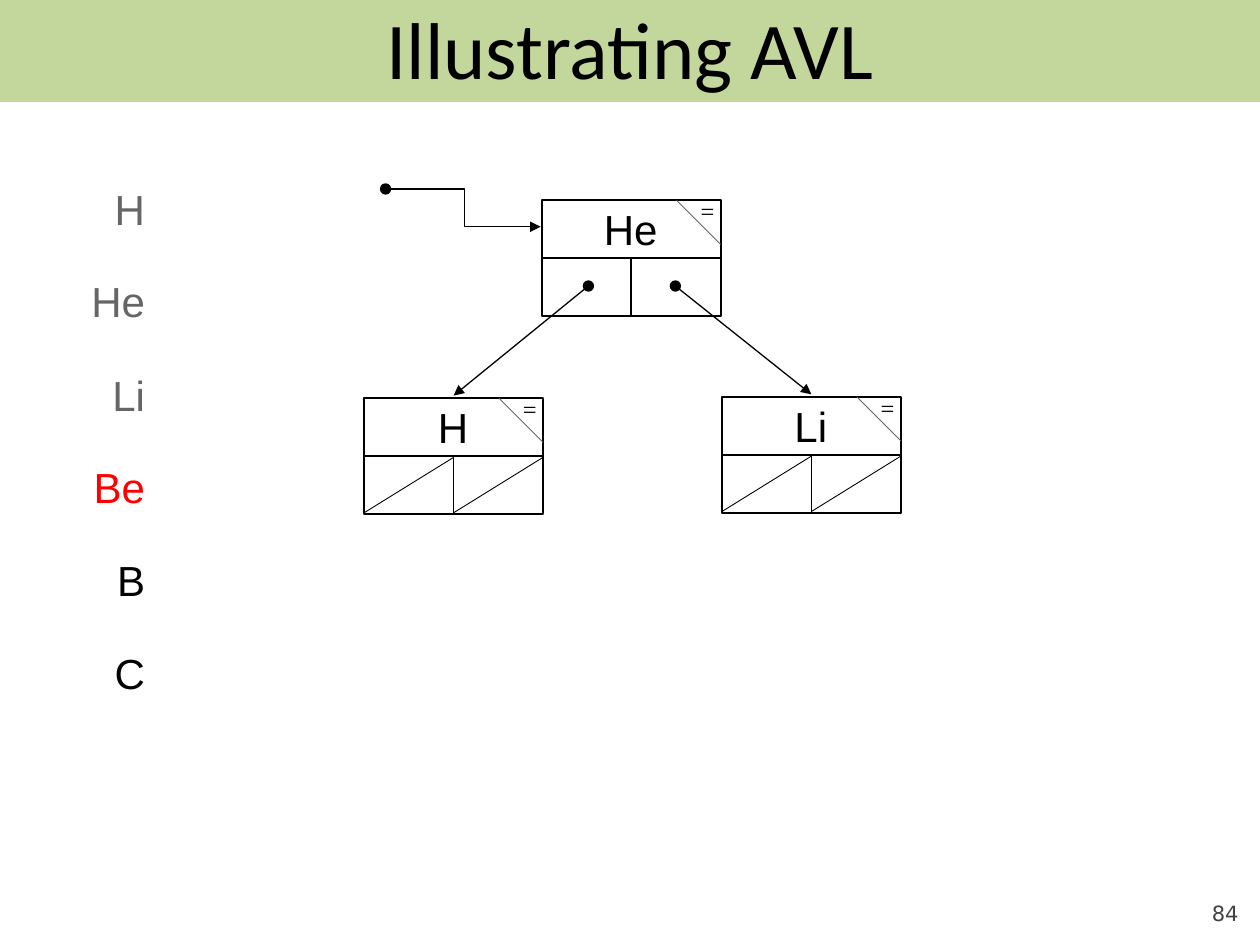
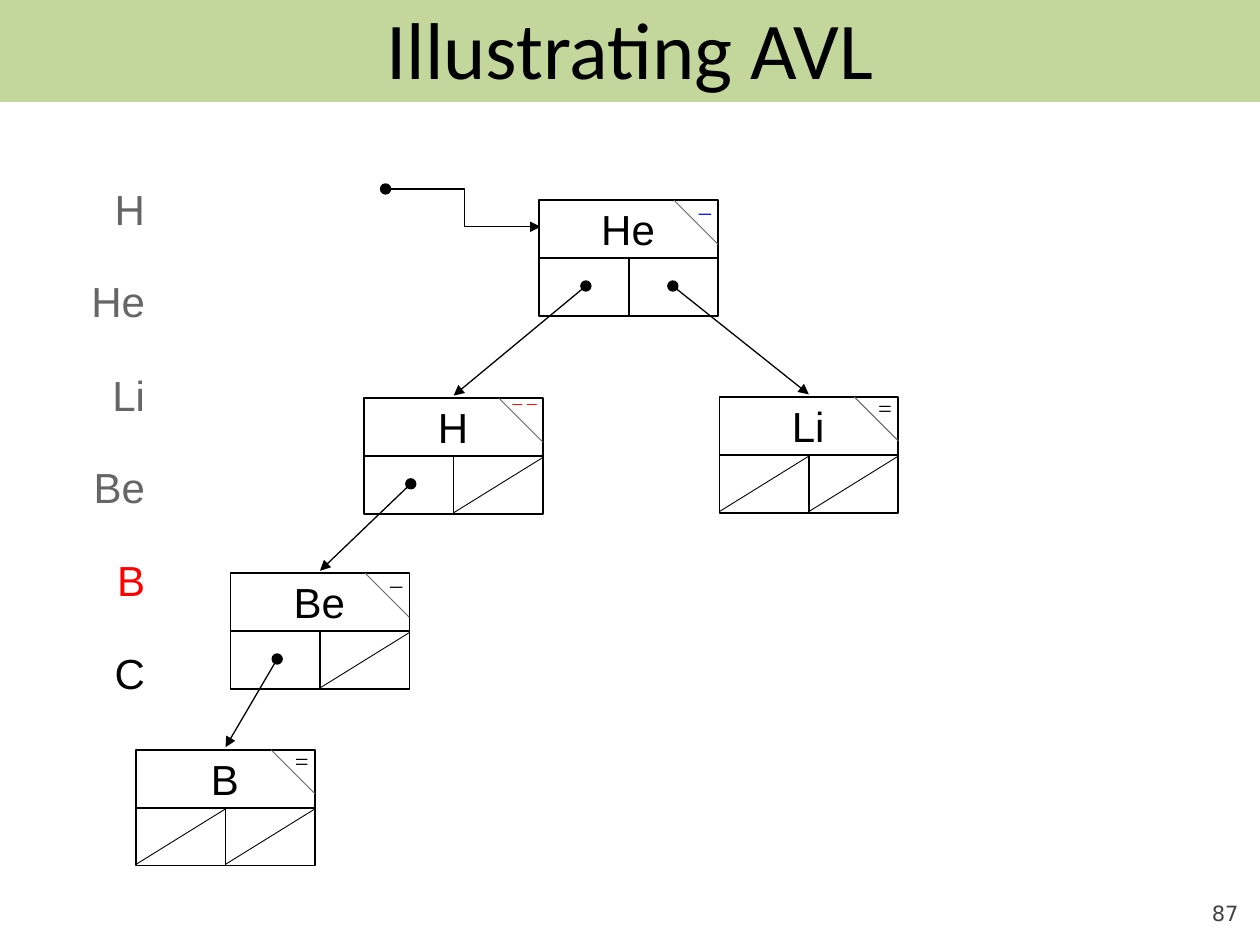
from lxml import etree
from pptx import Presentation
from pptx import util as u
from pptx.dml.color import RGBColor
from pptx.enum import shapes, text
from pptx.oxml.ns import qn

PX = 9144  # one px is a hundredth of an inch
BLACK, WHITE, GREY, RED, BLUE = "000000", "FFFFFF", "666666", "FF0000", "0000FF"
BAND, FOOT = "C3D69B", "424242"
LEFT, MID, RIGHT = text.PP_ALIGN.LEFT, text.PP_ALIGN.CENTER, text.PP_ALIGN.RIGHT

TITLE = {"name": "Calibri", "size": u.Pt(46)}
LABEL = {"name": "Arial", "size": u.Pt(24)}
MARK = {"name": "Times New Roman", "size": u.Pt(14)}
TWIN = {"name": "Times New Roman", "size": u.Pt(11)}
PAGE = {"name": "DejaVu Sans", "size": u.Pt(12)}

WORDS = ["H", "He", "Li", "Be", "B", "C"]
WIDE, HIGH, ROW, HALF, CUT = 142, 92, 46, 71, 35  # sizes of a tree node
DOTS, DEEP = (37, 106), 68  # pointer dots inside a node

# Each node: left, top, balance mark, mark colour, left child, right child
TREES = [
    ("84", "Be", {
        "H": (289, 316, "=", BLACK, None, None),
        "He": (430, 159, "=", BLACK, "H", "Li"),
        "Li": (573, 315, "=", BLACK, None, None),
    }),
    ("87", "B", {
        "H": (289, 316, "– –", RED, "Be", None),
        "He": (428, 159, "–", BLUE, "H", "Li"),
        "Li": (571, 315, "=", BLACK, None, None),
        "Be": (183, 455, "–", BLACK, "B", None),
        "B": (108, 595, "=", BLACK, None, None),
    }),
]


def px(*vals):
    return [u.Emu(v * PX) for v in vals]


def rgb(hue):
    return RGBColor.from_string(hue)


def apply(obj, fmt):
    for key, val in fmt.items():
        setattr(obj, key, val)


def write(frame, words, font, hue, align, **fmt):
    apply(frame, {"word_wrap": True, "auto_size": text.MSO_AUTO_SIZE.NONE, **fmt})
    para = frame.paragraphs[0]
    para.alignment = align
    run = para.add_run()
    run.text = words
    apply(run.font, font)
    run.font.color.rgb = rgb(hue)


def label(slide, box, words, font, hue=BLACK, align=MID, **fmt):
    area = slide.shapes.add_textbox(*px(*box))
    write(area.text_frame, words, font, hue, align, **fmt)


def solid(slide, kind, box, fill, width=0):
    shape = slide.shapes.add_shape(kind, *px(*box))
    shape.shadow.inherit = False
    shape.fill.solid()
    shape.fill.fore_color.rgb = rgb(fill)
    if width:
        shape.line.color.rgb = rgb(BLACK)
        shape.line.width = u.Pt(width)
    else:
        shape.line.fill.background()
    return shape


def line(slide, ends, width, hue=BLACK, arrow=False, kind=shapes.MSO_CONNECTOR.STRAIGHT):
    link = slide.shapes.add_connector(kind, *px(*ends))
    link.line.color.rgb = rgb(hue)
    link.line.width = u.Pt(width)
    if arrow:
        etree.SubElement(link.line._get_or_add_ln(), qn("a:tailEnd"), type="triangle")
    etree.SubElement(link.element.spPr, qn("a:effectLst"))


def dot(slide, x, y):
    solid(slide, shapes.MSO_SHAPE.OVAL, (x - 4, y - 4, 8, 8), BLACK, 0.75)


def frame(slide, page):
    # Title above its band, page number at the foot
    title = slide.shapes.title
    apply(title, dict(zip(("left", "top", "width", "height"), px(50, 0, 900, 75))))
    write(title.text_frame, "Illustrating AVL", TITLE, BLACK, MID,
          vertical_anchor=text.MSO_ANCHOR.MIDDLE)
    band = solid(slide, shapes.MSO_SHAPE.RECTANGLE, (0, 0, 1000, 81), BAND)
    title.element.addprevious(band.element)
    label(slide, (900, 695, 83, 40), page, PAGE, FOOT, RIGHT,
          vertical_anchor=text.MSO_ANCHOR.BOTTOM,
          margin_left=0, margin_right=0, margin_top=0, margin_bottom=0)


def queue(slide, now):
    # Inserted words are grey, the current one red
    spot = WORDS.index(now)
    for i, word in enumerate(WORDS):
        hue = GREY if i < spot else RED if i == spot else BLACK
        label(slide, (58, 141 + i * 736 // 10, 67, 50), word, LABEL, hue, RIGHT)


def node(slide, name, x, y, mark, hue, *kids):
    solid(slide, shapes.MSO_SHAPE.RECTANGLE, (x, y, WIDE, HIGH), WHITE, 1)
    line(slide, (x, y + ROW, x + WIDE, y + ROW), 1)
    line(slide, (x + HALF, y + ROW, x + HALF, y + HIGH), 1)
    label(slide, (x + 29, y - 2, 83, 50), name, LABEL)

    # Balance corner
    line(slide, (x + WIDE - CUT, y, x + WIDE, y + CUT), 0.5, GREY)
    if len(mark) > 1:
        label(slide, (x + 105, y - 11, 45, 29), mark, TWIN, hue)
    else:
        label(slide, (x + 115, y - 8, 33, 34), mark, MARK, hue)

    # A slash stands for an empty pointer
    for i, kid in enumerate(kids):
        if not kid:
            side = x + i * HALF
            line(slide, (side, y + HIGH - 1, side + HALF, y + ROW + 1), 0.5)


def tree(slide, nodes):
    # Root pointer
    dot(slide, 306, 150)
    line(slide, (308, 150, 429, 180), 0.75, arrow=True, kind=shapes.MSO_CONNECTOR.ELBOW)

    for name, data in nodes.items():
        node(slide, name, *data)

    # Child pointers
    for x, y, _, _, *kids in nodes.values():
        for dx, kid in zip(DOTS, kids):
            if kid:
                left, top = nodes[kid][:2]
                dot(slide, x + dx, y + DEEP)
                line(slide, (x + dx, y + DEEP, left + HALF, top - 2), 0.75, arrow=True)


def main():
    deck = Presentation()
    deck.slide_width, deck.slide_height = px(1000, 750)
    for page, now, nodes in TREES:
        slide = deck.slides.add_slide(deck.slide_layouts[5])
        frame(slide, page)
        queue(slide, now)
        tree(slide, nodes)
    deck.save("out.pptx")


if __name__ == "__main__":
    main()
